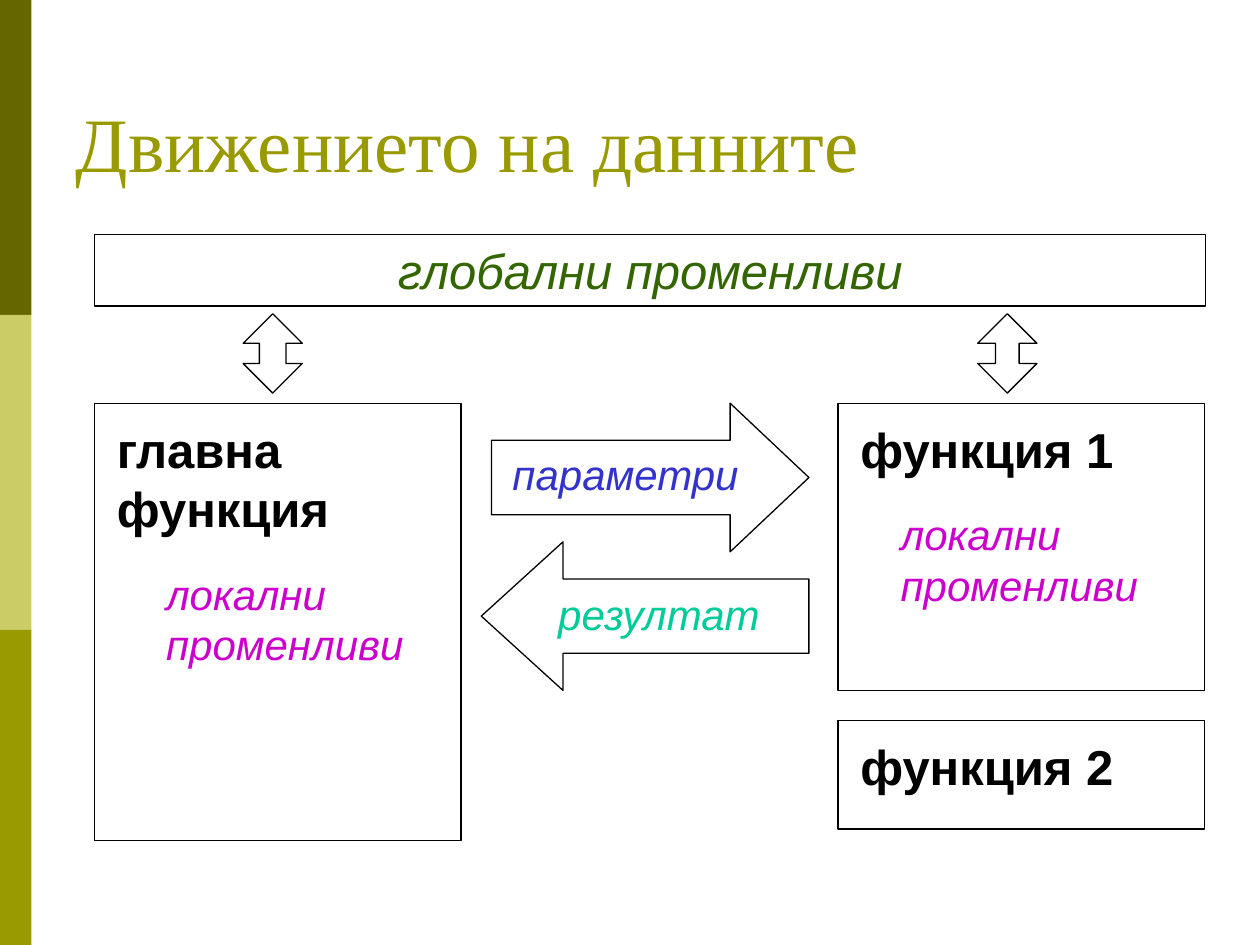
import pptx
import pptx.dml.color
import pptx.enum.shapes
import pptx.enum.text
import pptx.util

Inches = pptx.util.Inches
SHAPE = pptx.enum.shapes.MSO_SHAPE
ALIGN = pptx.enum.text.PP_ALIGN
ANCHOR = pptx.enum.text.MSO_ANCHOR
HEADING = {"name": "Arial", "size": pptx.util.Pt(28), "bold": True, "italic": False}
GLOBAL = {"name": "Arial", "size": pptx.util.Pt(28), "bold": False, "italic": True}
LABEL = {"name": "Arial", "size": pptx.util.Pt(24), "bold": False, "italic": True}
TITLE = {"name": "Times New Roman", "size": pptx.util.Pt(44), "bold": False}


def color(value):
    """Return the colour for a hex string."""
    return pptx.dml.color.RGBColor.from_string(value)


def write(shape, text, font, ink, align=ALIGN.LEFT, anchor=ANCHOR.TOP):
    """Write one formatted paragraph into a shape."""
    frame = shape.text_frame
    frame.word_wrap = True
    frame.vertical_anchor = anchor
    para = frame.paragraphs[0]
    para.alignment = align
    span = para.add_run()
    span.text = text
    for name, value in font.items():
        setattr(span.font, name, value)
    span.font.color.rgb = color(ink)


def add_title(page, text):
    """Place and format the title placeholder."""
    title = page.shapes.title
    place = {"left": 0.5, "top": -0.76, "width": 8.99, "height": 2.3}
    for name, value in place.items():
        setattr(title, name, Inches(value))
    title.text_frame.auto_size = pptx.enum.text.MSO_AUTO_SIZE.NONE
    write(title, text, TITLE, "999900", anchor=ANCHOR.BOTTOM)


def add_stripe(page, row, fill):
    """Draw one third of the side band."""
    stripe = page.shapes.add_shape(
        SHAPE.RECTANGLE, 0, Inches(2.5 * row), Inches(0.25), Inches(2.5))
    stripe.shadow.inherit = False
    stripe.fill.solid()
    stripe.fill.fore_color.rgb = color(fill)
    stripe.line.fill.background()


def add_outline(page, kind, place, adjustments=()):
    """Draw an unfilled shape with a thin black line."""
    shape = page.shapes.add_shape(kind, *map(Inches, place))
    shape.shadow.inherit = False
    shape.fill.background()
    shape.line.color.rgb = color("000000")
    shape.line.width = pptx.util.Pt(0.75)
    for index, value in enumerate(adjustments):
        shape.adjustments[index] = value
    return shape


def add_text(page, place, text, font, ink, align=ALIGN.LEFT):
    """Add a text box that grows with its text."""
    box = page.shapes.add_textbox(*map(Inches, place))
    box.text_frame.auto_size = pptx.enum.text.MSO_AUTO_SIZE.SHAPE_TO_FIT_TEXT
    write(box, text, font, ink, align)


def add_function(page, left, top, height, name, name_height):
    """Draw a function frame with its name inside."""
    add_outline(page, SHAPE.RECTANGLE, (left, top, 2.91, height))
    place = (left + 0.08, top + 0.08, 2.76, name_height)
    add_text(page, place, name, HEADING, "000000")


def main():
    """Build the data flow slide."""
    deck = pptx.Presentation()
    deck.slide_width, deck.slide_height = Inches(10), Inches(7.5)
    page = deck.slides.add_slide(deck.slide_layouts[5])

    for row, fill in enumerate(("666600", "CCCC66", "999900")):
        add_stripe(page, row, fill)
    add_title(page, "Движението на данните")

    variables = add_outline(page, SHAPE.RECTANGLE, (0.75, 1.86, 8.82, 0.57))
    write(variables, "глобални променливи", GLOBAL, "336600", ALIGN.CENTER)

    add_function(page, 0.75, 3.2, 3.47, "главна функция", 1.04)
    add_function(page, 6.65, 3.2, 2.28, "функция 1", 0.57)
    add_function(page, 6.65, 5.72, 0.86, "функция 2", 0.57)
    for place in ((1.22, 4.46, 2.36, 0.9), (7.05, 3.99, 2.44, 0.9)):
        add_text(page, place, "локални променливи", LABEL, "CC00CC")

    for left, head in ((1.93, 0.45), (7.76, 0.4)):
        add_outline(page, SHAPE.UP_DOWN_ARROW, (left, 2.49, 0.47, 0.63), (0.5, head))
    add_outline(page, SHAPE.RIGHT_ARROW, (3.9, 3.2, 2.52, 1.18), (0.5, 0.53))
    add_outline(page, SHAPE.LEFT_ARROW, (3.82, 4.3, 2.6, 1.18), (0.5, 0.55))
    add_text(page, (3.9, 3.51, 2.13, 0.5), "параметри", LABEL, "3333CC", ALIGN.CENTER)
    add_text(page, (4.13, 4.62, 2.2, 0.5), "резултат", LABEL, "00CC99", ALIGN.CENTER)

    deck.save("out.pptx")


if __name__ == "__main__":
    main()
